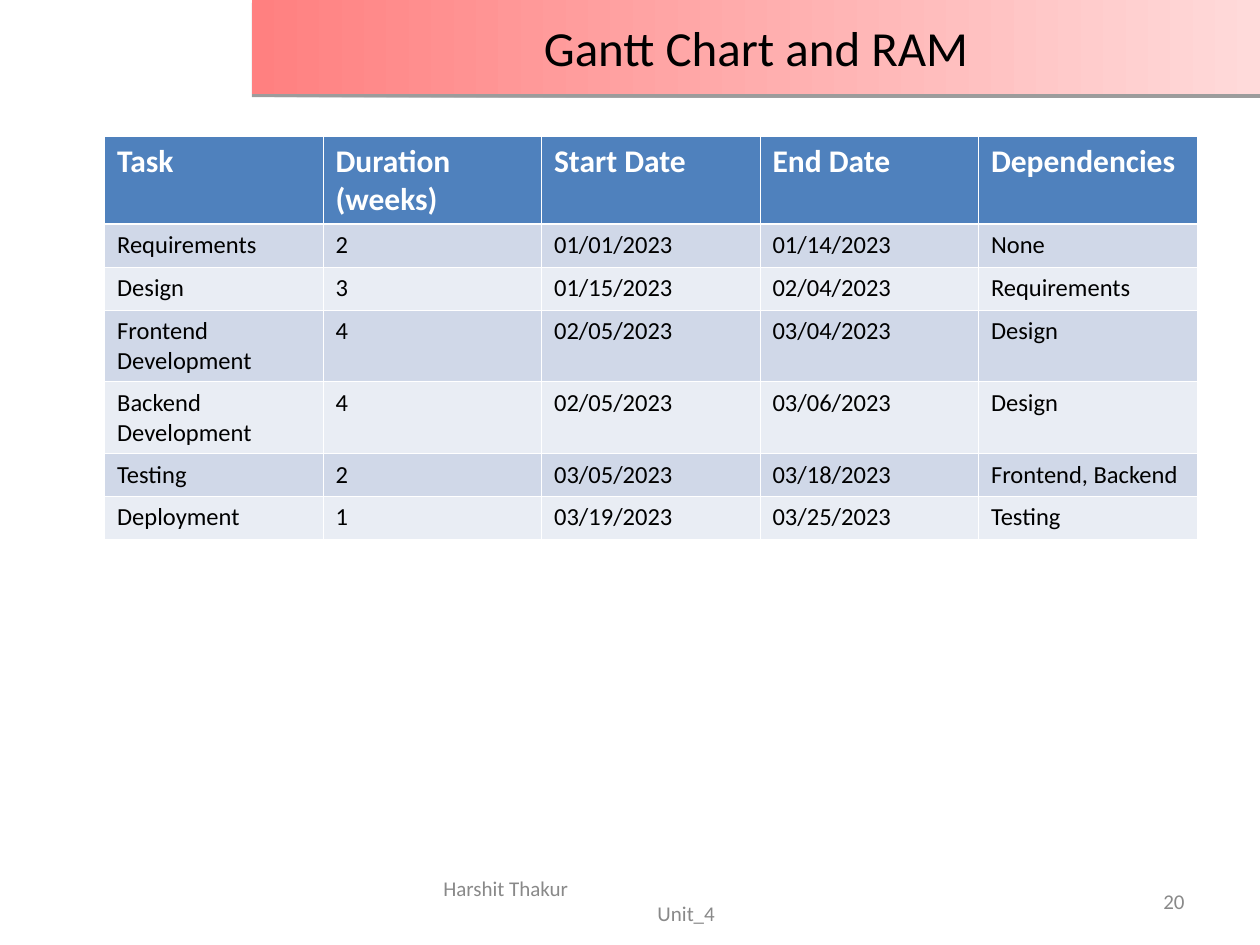
from lxml import etree
from pptx import Presentation
from pptx.dml.color import RGBColor
from pptx.enum.shapes import MSO_SHAPE
from pptx.enum.text import MSO_ANCHOR, PP_ALIGN
from pptx.oxml.ns import qn
from pptx.util import Inches, Pt

RECTANGLE = MSO_SHAPE.RECTANGLE
MIDDLE = MSO_ANCHOR.MIDDLE
LEFT, CENTER, RIGHT = PP_ALIGN.LEFT, PP_ALIGN.CENTER, PP_ALIGN.RIGHT

TITLE = "Gantt Chart and RAM"
AUTHOR, UNIT, PAGE_NUMBER = "Harshit Thakur", "Unit_4", "20"
HEADERS = ["Task", "Duration (weeks)", "Start Date", "End Date", "Dependencies"]
TASKS = [
    ("Requirements", "2", "01/01/2023", "01/14/2023", "None"),
    ("Design", "3", "01/15/2023", "02/04/2023", "Requirements"),
    ("Frontend Development", "4", "02/05/2023", "03/04/2023", "Design"),
    ("Backend Development", "4", "02/05/2023", "03/06/2023", "Design"),
    ("Testing", "2", "03/05/2023", "03/18/2023", "Frontend, Backend"),
    ("Deployment", "1", "03/19/2023", "03/25/2023", "Testing"),
]
HEADER_HEIGHT, ONE_LINE, TWO_LINES = 0.7, 0.34, 0.57
ROW_HEIGHTS = [HEADER_HEIGHT] + [
    TWO_LINES if "Development" in task[0] else ONE_LINE for task in TASKS
]
TABLE_LEFT, TABLE_TOP, TABLE_WIDTH = 0.83, 1.08, 8.67
UNIT_INDENT = 1.7

THEME = {
    "font": "Calibri",
    "text": "000000",
    "footer": "898989",
    "banner": ("FF8080", "FFDADA"),
    "header_fill": "4F81BD",
    "header_text": "FFFFFF",
    "bands": ("D0D8E8", "E9EDF4"),
    "border": "FFFFFF",
    "thin": 0.45,
    "thick": 1.47,
    "title_size": 28,
    "header_size": 18,
    "body_size": 14,
    "footer_size": 12,
}


def add_span(para, text, size, color, bold=False):
    span = para.add_run()
    span.text = text
    span.font.name = THEME["font"]
    span.font.size = Pt(size)
    span.font.bold = bold
    span.font.color.rgb = RGBColor.from_string(color)


def add_banner(page):
    banner = page.shapes.add_shape(RECTANGLE, Inches(2), 0, Inches(8), Inches(0.75))
    banner.line.fill.background()
    banner.fill.gradient()
    banner.fill.gradient_angle = 0
    for stop, position, color in zip(banner.fill.gradient_stops, (0, 1), THEME["banner"]):
        stop.position = position
        stop.color.rgb = RGBColor.from_string(color)
    add_hard_shadow(banner)
    banner.text_frame.vertical_anchor = MIDDLE
    para = banner.text_frame.paragraphs[0]
    para.alignment = CENTER
    add_span(para, TITLE, THEME["title_size"], THEME["text"])


def add_hard_shadow(shape):
    """Give the shape an unblurred shadow just below it."""
    shape.shadow.inherit = False
    effects = shape.element.spPr.find(qn("a:effectLst"))
    shadow = etree.SubElement(effects, qn("a:outerShdw"), blurRad="0",
                              dist=str(Pt(1.6)), dir="5400000", rotWithShape="0")
    color = etree.SubElement(shadow, qn("a:srgbClr"), val="000000")
    etree.SubElement(color, qn("a:alpha"), val="38000")


def add_footer(page, left, width, lines):
    """Add a footer box; lines are (text, alignment, indent in inches)."""
    box = page.shapes.add_textbox(Inches(left), Inches(6.95), Inches(width), Inches(0.4))
    frame = box.text_frame
    frame.word_wrap = True
    frame.vertical_anchor = MIDDLE
    for index, (text, alignment, indent) in enumerate(lines):
        para = frame.add_paragraph() if index else frame.paragraphs[0]
        para.alignment = alignment
        para._p.get_or_add_pPr().set("marL", str(Inches(indent)))
        add_span(para, text, THEME["footer_size"], THEME["footer"])


def add_borders(cell, widths):
    """Draw cell borders from widths in points, keyed by side."""
    properties = cell._tc.get_or_add_tcPr()
    for side, width in widths.items():
        line = etree.SubElement(properties, qn(f"a:ln{side}"), w=str(Pt(width)))
        fill = etree.SubElement(line, qn("a:solidFill"))
        etree.SubElement(fill, qn("a:srgbClr"), val=THEME["border"])


def add_schedule(page):
    rows = [HEADERS, *TASKS]
    table = page.shapes.add_table(
        len(rows), len(HEADERS), Inches(TABLE_LEFT), Inches(TABLE_TOP),
        Inches(TABLE_WIDTH), Inches(sum(ROW_HEIGHTS))).table
    for column in table.columns:
        column.width = Inches(TABLE_WIDTH / len(HEADERS))
    for index, (values, height) in enumerate(zip(rows, ROW_HEIGHTS)):
        table.rows[index].height = Inches(height)
        is_header = index == 0
        thin, thick = THEME["thin"], THEME["thick"]
        widths = {"L": thin, "R": thin, "T": thick if index == 1 else thin,
                  "B": thick if is_header else thin}
        fill = THEME["header_fill"] if is_header else THEME["bands"][(index - 1) % 2]
        size = THEME["header_size"] if is_header else THEME["body_size"]
        color = THEME["header_text"] if is_header else THEME["text"]
        for cell, value in zip(table.rows[index].cells, values):
            add_borders(cell, widths)
            cell.fill.solid()
            cell.fill.fore_color.rgb = RGBColor.from_string(fill)
            add_span(cell.text_frame.paragraphs[0], value, size, color, is_header)


def main():
    deck = Presentation()
    deck.slide_width, deck.slide_height = Inches(10), Inches(7.5)
    page = deck.slides.add_slide(deck.slide_layouts[6])
    add_footer(page, 3.42, 3.17, [(AUTHOR, LEFT, 0), (UNIT, LEFT, UNIT_INDENT)])
    add_footer(page, 7.17, 2.33, [(PAGE_NUMBER, RIGHT, 0)])
    add_banner(page)
    add_schedule(page)
    deck.save("out.pptx")


if __name__ == "__main__":
    main()
